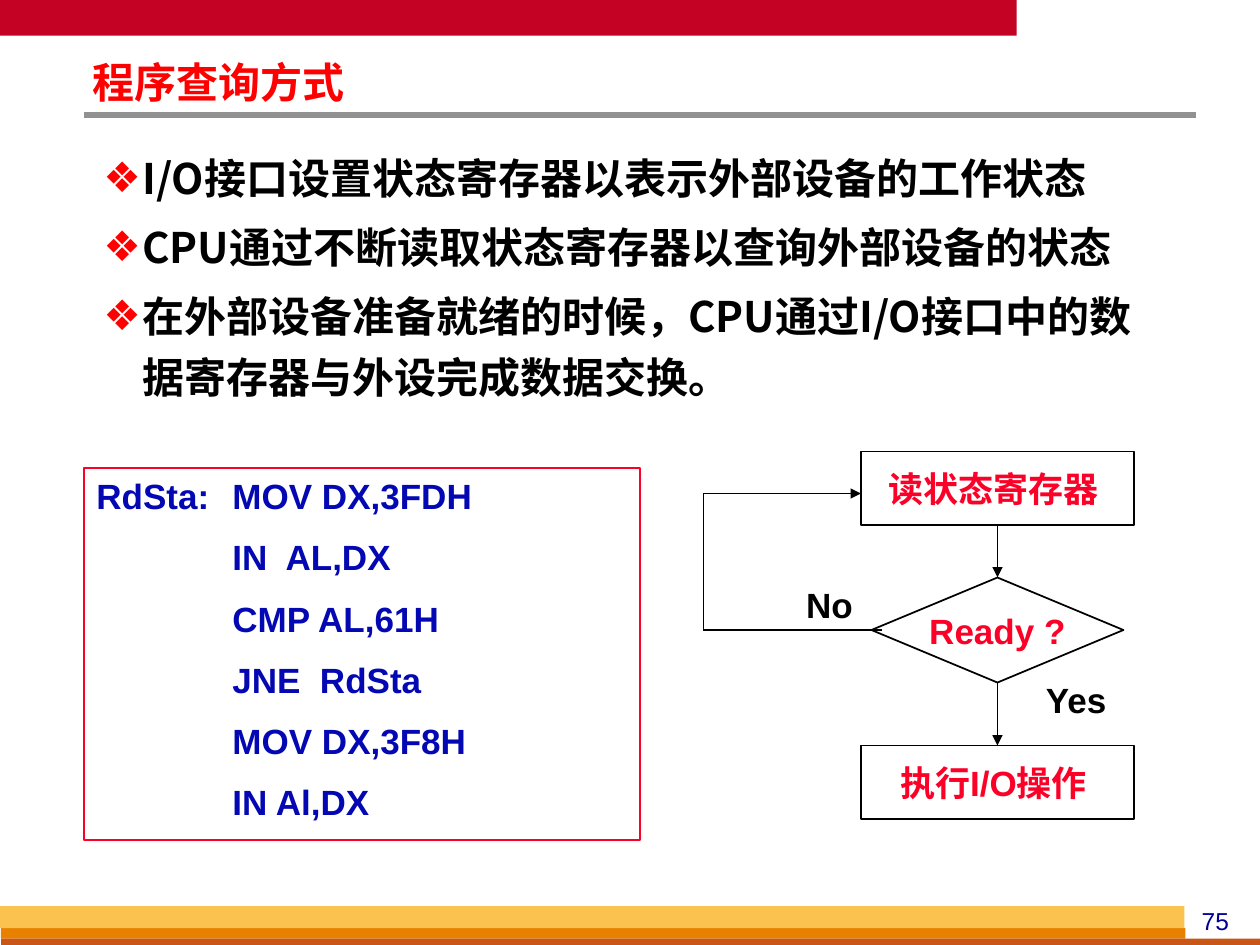
from pptx import Presentation
from pptx.dml.color import RGBColor
from pptx.enum.shapes import MSO_CONNECTOR, MSO_SHAPE
from pptx.enum.text import MSO_ANCHOR, MSO_AUTO_SIZE, PP_ALIGN
from pptx.oxml.ns import qn
from pptx.util import Inches, Pt
from lxml.etree import SubElement

COLS, ROWS = 120, 90
CRIMSON = RGBColor(0xC3, 0x02, 0x24)
GREY = RGBColor(0x91, 0x91, 0x91)
AMBER = RGBColor(0xFC, 0xC2, 0x4F)
ORANGE = RGBColor(0xE8, 0x80, 0x00)
RUST = RGBColor(0xC9, 0x56, 0x16)
RED = RGBColor(0xFF, 0x00, 0x00)
ROSE = RGBColor(0xFC, 0x01, 0x28)
NAVY = RGBColor(0x00, 0x00, 0x99)
BLUE = RGBColor(0x04, 0x08, 0xB2)
BLACK = RGBColor(0x00, 0x00, 0x00)
LATIN, HAN = "Arial", "Noto Sans CJK SC"
TOP, BOTTOM = 0, 2


def apply(obj, vals):
    for name, val in vals.items():
        setattr(obj, name, val)


class Page:
    """Holds the style and the current slide; lengths are grid columns and rows."""

    def __init__(self, deck):
        self.slide = deck.slides.add_slide(deck.slide_layouts[1])
        self.shapes = self.slide.shapes
        self.col = deck.slide_width / COLS
        self.row = deck.slide_height / ROWS

    def area(self, x, y, w, h):
        return (round(x * self.col), round(y * self.row),
                round(w * self.col), round(h * self.row))

    def letter(self, shape, lines, color, size=20, font=LATIN, bold=True,
               frame=None, para=None):
        """Set the lines as formatted paragraphs and return these."""
        text = shape.text_frame
        apply(text, {"word_wrap": True, "auto_size": MSO_AUTO_SIZE.NONE,
                     "vertical_anchor": MSO_ANCHOR.TOP, **(frame or {})})
        text.text = "\n".join(lines)
        for par in text.paragraphs:
            apply(par, {"alignment": PP_ALIGN.LEFT, **(para or {})})
            for run in par.runs:
                apply(run.font, {"name": font, "size": Pt(size), "bold": bold})
                run.font.color.rgb = color
                SubElement(run.font._element, qn("a:ea")).set("typeface", HAN)
        return text.paragraphs

    def holder(self, shape, box, lines, color, pitch, gap=0):
        """Move, fill and format a template placeholder."""
        apply(shape, dict(zip(("left", "top", "width", "height"), self.area(*box))))
        frame = {"margin_left": Inches(0.07), "margin_right": Inches(0.07),
                 "margin_top": Inches(0.06), "margin_bottom": 0}
        para = {"line_spacing": Pt(pitch), "space_before": Pt(gap),
                "space_after": Pt(gap)}
        return self.letter(shape, lines, color, 24, HAN, frame=frame, para=para)

    def title(self, box, line):
        self.holder(self.shapes.title, box, [line], RED, 25.2)

    def list(self, box, lines):
        for par in self.holder(self.slide.placeholders[1], box, lines, BLACK, 34.9, 2.3):
            self.indent(par, 0.31, -0.31)
            props = par._p.get_or_add_pPr()
            tint = SubElement(props, qn("a:buClr"))
            SubElement(tint, qn("a:srgbClr")).set("val", str(RED))
            SubElement(props, qn("a:buFont")).set("typeface", LATIN)
            SubElement(props, qn("a:buChar")).set("char", "❖")

    def indent(self, par, left, first):
        props = par._p.get_or_add_pPr()
        props.set("marL", str(Inches(left)))
        props.set("indent", str(Inches(first)))

    def shape(self, kind, box, fill=None, edge=None):
        item = self.shapes.add_shape(kind, *self.area(*box))
        item.shadow.inherit = False
        if fill is None:
            item.fill.background()
        else:
            item.fill.solid()
            item.fill.fore_color.rgb = fill
        if edge is None:
            item.line.fill.background()
        else:
            item.line.color.rgb = edge
            item.line.width = Pt(1)
        return item

    def bar(self, box, fill):
        self.shape(MSO_SHAPE.RECTANGLE, box, fill)

    def node(self, kind, box, line):
        item = self.shape(kind, box, edge=BLACK)
        self.letter(item, [line], ROSE,
                    frame={"word_wrap": False, "vertical_anchor": MSO_ANCHOR.MIDDLE},
                    para={"alignment": PP_ALIGN.CENTER})
        return item

    def code(self, box, lines):
        item = self.shape(MSO_SHAPE.RECTANGLE, box, edge=ROSE)
        pars = self.letter(item, lines, BLUE, para={"space_before": Pt(11)})
        for num, par in enumerate(pars):
            self.indent(par, 1.08, 0 if num else -1.08)

    def label(self, box, line, color=BLACK, size=20, bold=True):
        item = self.shapes.add_textbox(*self.area(*box))
        self.letter(item, [line], color, size, bold=bold,
                    para={"alignment": PP_ALIGN.CENTER})

    def line(self, start, end, color=BLACK, width=1, arrow=False):
        ends = self.area(*start, *end)
        item = self.shapes.add_connector(MSO_CONNECTOR.STRAIGHT, *ends)
        item.line.color.rgb = color
        item.line.width = Pt(width)
        if arrow:
            SubElement(item.line._get_or_add_ln(), qn("a:tailEnd")).set("type", "triangle")
        SubElement(item._element.spPr, qn("a:effectLst"))
        return item

    def link(self, upper, lower):
        item = self.line((0, 0), (1, 1), arrow=True)
        item.begin_connect(upper, BOTTOM)
        item.end_connect(lower, TOP)


def main():
    deck = Presentation()
    apply(deck, {"slide_width": Inches(10), "slide_height": Inches(7.5)})
    page = Page(deck)

    page.bar((0, 0, 96.84, 3.4), CRIMSON)
    page.line((8, 10.95), (113.88, 10.95), GREY, 3)
    page.bar((0.1, 88.4, 112.8, 1), ORANGE)
    page.bar((0.1, 89.4, 119.9, 0.6), RUST)
    page.bar((0, 86.3, 112.8, 2.1), AMBER)
    page.label((112, 85.7, 7.5, 4), "75", NAVY, 14, False)

    page.title((8, 5.3, 69, 4.9), "程序查询方式")
    page.list((9, 12.8, 103, 25.6), [
        "I/O接口设置状态寄存器以表示外部设备的工作状态",
        "CPU通过不断读取状态寄存器以查询外部设备的状态",
        "在外部设备准备就绪的时候，CPU通过I/O接口中的数据寄存器与外设完成数据交换。",
    ])

    read = page.node(MSO_SHAPE.RECTANGLE, (82, 43, 26, 7), "读状态寄存器 ")
    test = page.node(MSO_SHAPE.DIAMOND, (83, 55, 24, 10), "Ready ?")
    work = page.node(MSO_SHAPE.RECTANGLE, (82, 71, 26, 7), "执行I/O操作 ")
    page.link(read, test)
    page.link(test, work)
    loop = [(84, 60), (67, 60), (67, 47), (82, 47)]
    for start, end in zip(loop, loop[1:]):
        page.line(start, end, arrow=end == loop[-1])
    page.label((74, 55, 10, 5.2), "No")
    page.label((97, 64, 11, 5.2), "Yes")

    page.code((8, 44.6, 53, 35.4), [
        "RdSta:\tMOV DX,3FDH", "IN  AL,DX", "CMP AL,61H",
        "JNE  RdSta", "MOV DX,3F8H", "IN Al,DX",
    ])
    deck.save("out.pptx")


if __name__ == "__main__":
    main()
